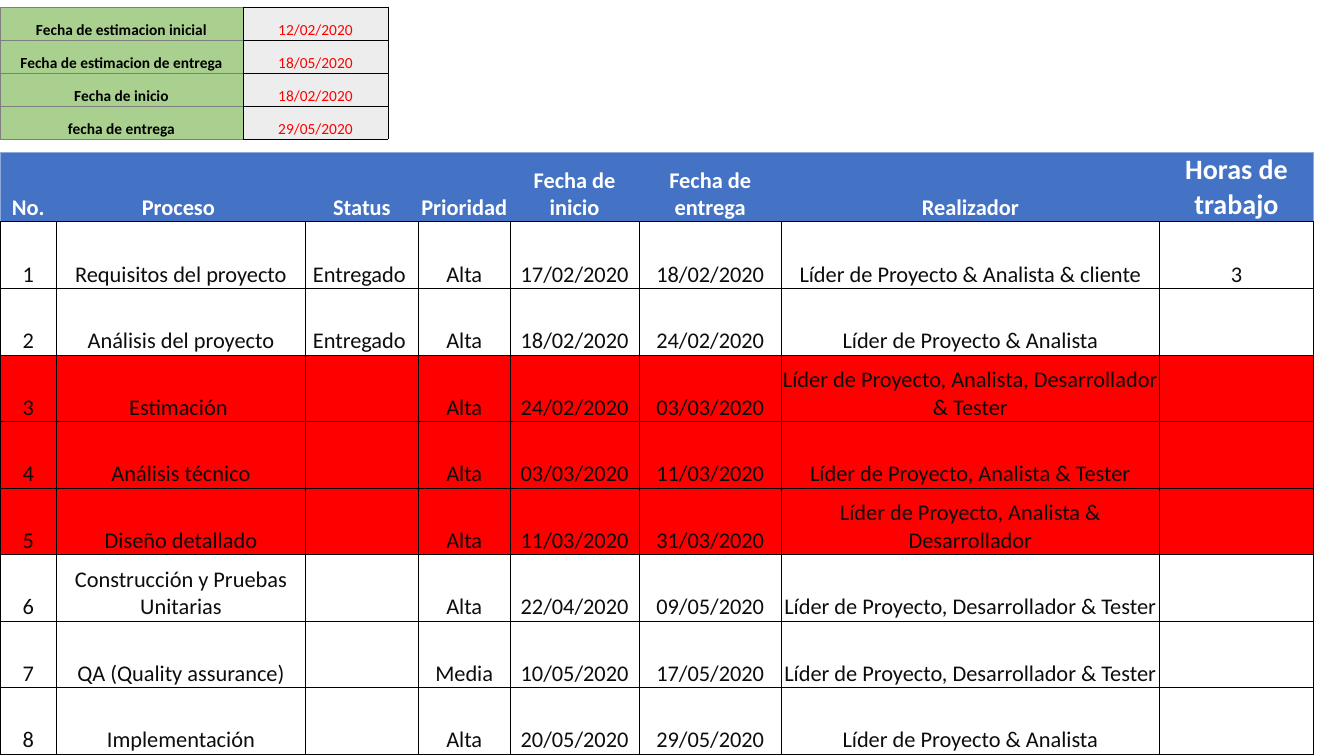
from lxml.etree import SubElement as Sub
from pptx import Presentation
from pptx.dml.color import RGBColor as RGB
from pptx.enum.text import MSO_ANCHOR as Anchor, PP_ALIGN as Align
from pptx.oxml.ns import qn
from pptx.util import Inches, Pt

BLACK = RGB(0x00, 0x00, 0x00)
WHITE = RGB(0xFF, 0xFF, 0xFF)
INK = RGB(0x0D, 0x0D, 0x0D)
RED = RGB(0xFF, 0x00, 0x00)
GREEN = RGB(0xA9, 0xD0, 0x8E)
GREY = RGB(0x7F, 0x7F, 0x7F)
PALE = RGB(0xED, 0xED, 0xED)
BLUE = RGB(0x44, 0x72, 0xC4)
SKY = RGB(0x8E, 0xA9, 0xDB)

DATES = [
    ("Fecha de estimacion inicial", "12/02/2020"),
    ("Fecha de estimacion de entrega", "18/05/2020"),
    ("Fecha de inicio", "18/02/2020"),
    ("fecha de entrega", "29/05/2020"),
]
HEADS = ("No.", "Proceso ", "Status", "Prioridad", "Fecha de inicio",
         "Fecha de entrega", "Realizador", "Horas de trabajo")
TASKS = [
    ("Requisitos del proyecto", "Entregado ", "Alta", "17/02/2020",
     "18/02/2020", "Líder de Proyecto & Analista & cliente", "3"),
    ("Análisis del proyecto", "Entregado ", "Alta", "18/02/2020",
     "24/02/2020", "Líder de Proyecto & Analista", ""),
    ("Estimación ", "", "Alta", "24/02/2020", "03/03/2020",
     "Líder de Proyecto, Analista, Desarrollador & Tester", ""),
    ("Análisis técnico", "", "Alta", "03/03/2020", "11/03/2020",
     "Líder de Proyecto, Analista & Tester", ""),
    ("Diseño detallado", "", "Alta", "11/03/2020", "31/03/2020",
     "Líder de Proyecto, Analista & Desarrollador", ""),
    ("Construcción y Pruebas Unitarias", "", "Alta", "22/04/2020",
     "09/05/2020", "Líder de Proyecto, Desarrollador & Tester", ""),
    ("QA (Quality assurance)", "", "Media", "10/05/2020", "17/05/2020",
     "Líder de Proyecto, Desarrollador & Tester", ""),
    ("Implementación", "", "Alta", "20/05/2020", "29/05/2020",
     "Líder de Proyecto & Analista", ""),
]
LATE = (3, 4, 5)


class Sheet:
    """Holds the slide and its style; lengths are percent of its size."""

    face = "Calibri"
    inset = Inches(0.01)
    rule = Pt(0.5)

    def __init__(self, deck):
        self.wide, self.high = deck.slide_width, deck.slide_height
        self.slide = deck.slides.add_slide(deck.slide_layouts[6])

    def across(self, share):
        return round(self.wide * share / 100)

    def down(self, share):
        return round(self.high * share / 100)

    def table(self, top, cols, row, count):
        """Add a plain table at the left edge, with count equal rows."""
        frame = self.slide.shapes.add_table(
            count, len(cols), 0, self.down(top),
            self.across(sum(cols)), self.down(row * count))
        grid = frame.table
        grid.first_row = grid.horz_banding = False
        for col, share in zip(grid.columns, cols):
            col.width = self.across(share)
        for line in grid.rows:
            line.height = self.down(row)
        return grid

    def edges(self, cell, hues):
        """Draw borders given as left, right, top, bottom; None hides one."""
        props = cell._tc.get_or_add_tcPr()
        for side, hue in zip("LRTB", hues):
            line = Sub(props, qn(f"a:ln{side}"), w=str(self.rule))
            if hue is None:
                Sub(line, qn("a:noFill"))
            else:
                fill = Sub(line, qn("a:solidFill"))
                Sub(fill, qn("a:srgbClr"), val=str(hue))

    def cell(self, cell, text, fill, hue, size, bold=False,
             edges=(BLACK,) * 4):
        self.edges(cell, edges)
        cell.fill.solid()
        cell.fill.fore_color.rgb = fill
        cell.margin_left = cell.margin_right = self.inset
        cell.margin_top, cell.margin_bottom = self.inset, 0
        cell.vertical_anchor = Anchor.BOTTOM
        cell.text = text
        para = cell.text_frame.paragraphs[0]
        para.alignment = Align.CENTER
        font = para.font
        font.name, font.size, font.bold = self.face, Pt(size), bold
        font.color.rgb = hue


def dates(sheet):
    grid = sheet.table(0.93, (18.08, 10.8), 4.37, len(DATES))
    for row, (label, day) in enumerate(DATES):
        sheet.cell(grid.cell(row, 0), label, GREEN, BLACK, 11, True,
                   (GREY, BLACK, GREY, GREY))
        sheet.cell(grid.cell(row, 1), day, PALE, RED, 11)


def plan(sheet):
    cols = (4.2, 18.53, 8.4, 6.83, 9.6, 10.58, 28.13, 11.48)
    grid = sheet.table(20.13, cols, 8.8, len(TASKS) + 1)
    last = len(HEADS) - 1
    for col, head in enumerate(HEADS):
        edges = (SKY if col == 0 else None, SKY if col == last else None,
                 SKY, BLACK)
        sheet.cell(grid.cell(0, col), head, BLUE, WHITE,
                   20 if col == last else 16, True, edges)
    for row, task in enumerate(TASKS, 1):
        fill = RED if row in LATE else WHITE
        for col, text in enumerate((str(row), *task)):
            sheet.cell(grid.cell(row, col), text, fill, INK, 16)


def main():
    deck = Presentation()
    deck.slide_width, deck.slide_height = Inches(13.33), Inches(7.5)
    sheet = Sheet(deck)
    dates(sheet)
    plan(sheet)
    deck.save("out.pptx")


if __name__ == "__main__":
    main()
